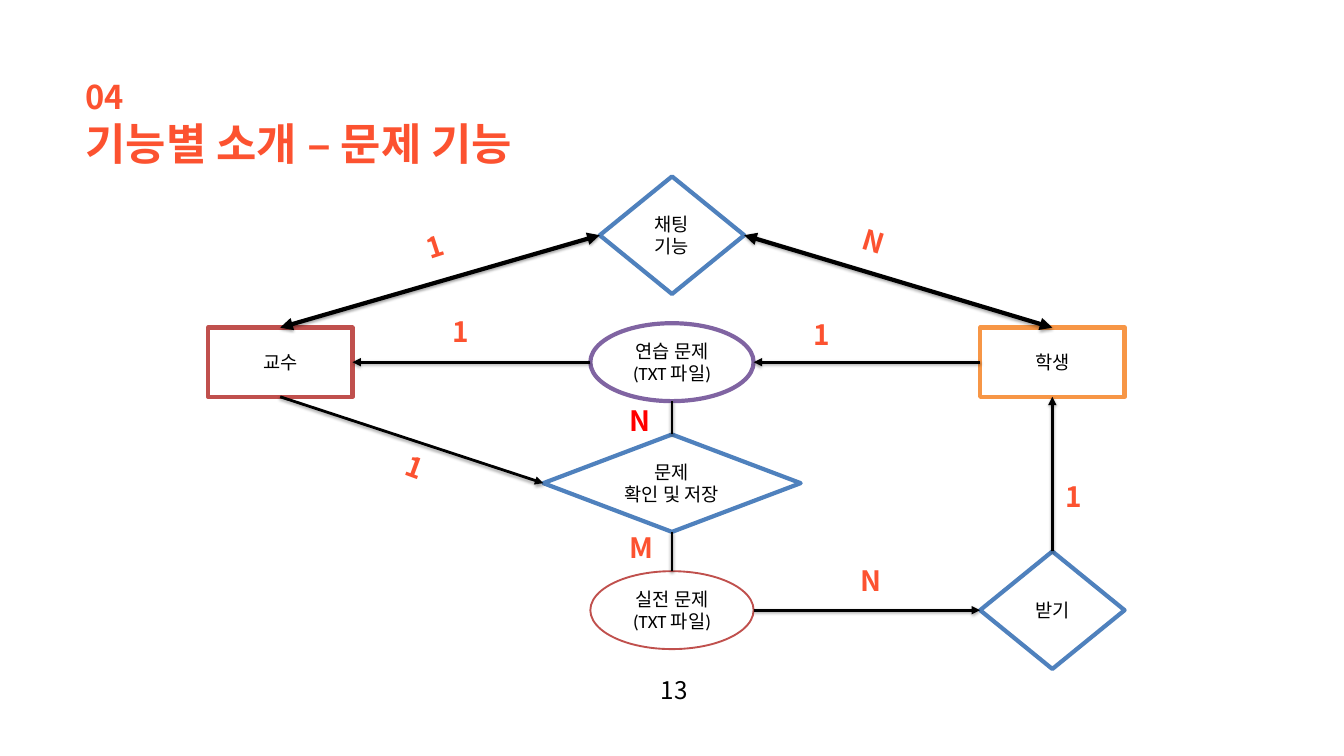
from lxml.etree import SubElement
from pptx import Presentation
from pptx.dml.color import RGBColor
from pptx.enum.shapes import MSO_CONNECTOR, MSO_SHAPE
from pptx.enum.text import MSO_ANCHOR, MSO_AUTO_SIZE, PP_ALIGN
from pptx.oxml.ns import qn
from pptx.util import Inches, Pt

KOREAN, LATIN = "Noto Sans CJK KR", "Calibri"
ORANGE, RED, BLACK, WHITE = "FC5230", "FF0000", "000000", "FFFFFF"
BLUE, BRICK, AMBER, PURPLE = "4F81BD", "C0504D", "F79646", "8064A2"

# Grid: column and row centres of the diagram, in inches
COLUMNS = {"professor": 4.17, "middle": 10, "student": 15.66}
ROWS = {"chat": 3.5, "people": 5.39, "check": 7.19, "exam": 9.08}

# Sizes shared by nodes of one kind
BOX, OVAL, SMALL_DIAMOND, WIDE_DIAMOND = (2.15, 1.03), (2.43, 1.16), (2.15, 1.75), (3.83, 1.45)

# name: column, row, preset, size, line colour, line width, font, lines of text
NODES = {
    "chat": ("middle", "chat", MSO_SHAPE.DIAMOND, SMALL_DIAMOND, BLUE, 4.5, KOREAN, ["채팅", "기능"]),
    "professor": ("professor", "people", MSO_SHAPE.RECTANGLE, BOX, BRICK, 4.5, LATIN, ["교수"]),
    "student": ("student", "people", MSO_SHAPE.RECTANGLE, BOX, AMBER, 4.5, LATIN, ["학생"]),
    "practice": ("middle", "people", MSO_SHAPE.OVAL, OVAL, PURPLE, 4.5, LATIN, ["연습 문제", "(TXT 파일)"]),
    "check": ("middle", "check", MSO_SHAPE.DIAMOND, WIDE_DIAMOND, BLUE, 4.5, KOREAN, ["문제", "확인 및 저장"]),
    "exam": ("middle", "exam", MSO_SHAPE.OVAL, OVAL, BRICK, 2, LATIN, ["실전 문제", "(TXT 파일)"]),
    "receive": ("student", "exam", MSO_SHAPE.DIAMOND, SMALL_DIAMOND, BLUE, 4.5, KOREAN, ["받기"]),
}

# from node, side, to node, side, line width, arrowheads
LINKS = [
    ("chat", "right", "student", "top", 4.5, ("headEnd", "tailEnd")),
    ("chat", "left", "professor", "top", 4.5, ("headEnd", "tailEnd")),
    ("student", "left", "practice", "right", 3, ("tailEnd",)),
    ("practice", "left", "professor", "right", 3, ("tailEnd",)),
    ("practice", "bottom", "check", "top", 3, ()),
    ("check", "bottom", "exam", "top", 3, ()),
    ("professor", "bottom", "check", "left", 3, ("tailEnd",)),
    ("receive", "top", "student", "bottom", 3, ("tailEnd",)),
    ("exam", "right", "receive", "left", 3, ("tailEnd",)),
]

# text, left, top, width, height, rotation, colour
CARDINALITIES = [
    ("1", 6.27, 3.25, 1.17, 0.86, 342, ORANGE),
    ("N", 12.68, 3.44, 1.57, 0.86, 17.6, ORANGE),
    ("1", 6.63, 4.63, 1.28, 0.86, 0, ORANGE),
    ("1", 12.01, 4.68, 2, 0.86, 0, ORANGE),
    ("N", 9.27, 5.96, 1.17, 0.86, 0, RED),
    ("1", 5.92, 6.8, 1.33, 0.63, 20.2, ORANGE),
    ("M", 9.27, 7.84, 1.17, 0.86, 0, ORANGE),
    ("1", 15.75, 7.09, 2.61, 0.63, 0, ORANGE),
    ("N", 12.71, 8.33, 2.61, 0.63, 0, ORANGE),
]

SIDES = {"top": (0, -0.5), "bottom": (0, 0.5), "left": (-0.5, 0), "right": (0.5, 0)}


def color(hex_value):
    return RGBColor.from_string(hex_value)


def write(shape, lines, size, hex_color, font=KOREAN, bold=False,
          align=PP_ALIGN.JUSTIFY, anchor=MSO_ANCHOR.TOP):
    frame = shape.text_frame
    frame.word_wrap = True
    frame.auto_size = MSO_AUTO_SIZE.NONE
    frame.vertical_anchor = anchor
    for index, line in enumerate(lines):
        paragraph = frame.add_paragraph() if index else frame.paragraphs[0]
        paragraph.alignment = align
        run = paragraph.add_run()
        run.text = line
        run.font.name = font
        run.font.size = Pt(size)
        run.font.bold = bold
        run.font.color.rgb = color(hex_color)
        SubElement(run.font._element, qn("a:ea"), typeface=KOREAN)


def add_text(slide, text, left, top, width, height, size, hex_color, **style):
    box = slide.shapes.add_textbox(Inches(left), Inches(top), Inches(width), Inches(height))
    write(box, [text], size, hex_color, **style)
    return box


def add_node(slide, column, row, preset, size, line_color, line_width, font, lines):
    width, height = size
    shape = slide.shapes.add_shape(
        preset, Inches(COLUMNS[column] - width / 2), Inches(ROWS[row] - height / 2),
        Inches(width), Inches(height))
    shape.shadow.inherit = False
    shape.fill.solid()
    shape.fill.fore_color.rgb = color(WHITE)
    shape.line.color.rgb = color(line_color)
    shape.line.width = Pt(line_width)
    write(shape, lines, 20, BLACK, font, align=PP_ALIGN.CENTER, anchor=MSO_ANCHOR.MIDDLE)


def side_point(name, side):
    column, row, _, (width, height) = NODES[name][:4]
    across, down = SIDES[side]
    return Inches(COLUMNS[column] + across * width), Inches(ROWS[row] + down * height)


def add_link(slide, start, start_side, end, end_side, width, heads):
    connector = slide.shapes.add_connector(
        MSO_CONNECTOR.STRAIGHT, *side_point(start, start_side), *side_point(end, end_side))
    connector.line.color.rgb = color(BLACK)
    connector.line.width = Pt(width)
    for head in heads:
        SubElement(connector.line._get_or_add_ln(), qn(f"a:{head}"), type="triangle")
    # Soft shadow straight below the line
    effects = SubElement(connector._element.spPr, qn("a:effectLst"))
    shadow = SubElement(effects, qn("a:outerShdw"), blurRad=str(Pt(3.1)), dist=str(Pt(1.8)),
                        dir="5400000", rotWithShape="0")
    shade = SubElement(shadow, qn("a:srgbClr"), val=BLACK)
    SubElement(shade, qn("a:alpha"), val="35000")


def main():
    presentation = Presentation()
    presentation.slide_width, presentation.slide_height = Inches(20), Inches(11.25)
    slide = presentation.slides.add_slide(presentation.slide_layouts[5])

    # Heading and page number
    title = slide.shapes.title
    title.left, title.top, title.width, title.height = map(Inches, (1.17, 1.68, 8.17, 1.25))
    write(title, ["기능별 소개 – 문제 기능"], 47, ORANGE, bold=True)
    add_text(slide, "04", 1.17, 1.1, 0.96, 0.91, 35, ORANGE, bold=True)
    add_text(slide, "13", 9.73, 10, 0.61, 0.58, 26, BLACK, align=PP_ALIGN.CENTER)

    # Diagram
    for node in NODES.values():
        add_node(slide, *node)
    for link in LINKS:
        add_link(slide, *link)
    for text, left, top, width, height, rotation, hex_color in CARDINALITIES:
        label = add_text(slide, text, left, top, width, height, 30, hex_color, bold=True)
        label.rotation = rotation

    presentation.save("out.pptx")


if __name__ == "__main__":
    main()
